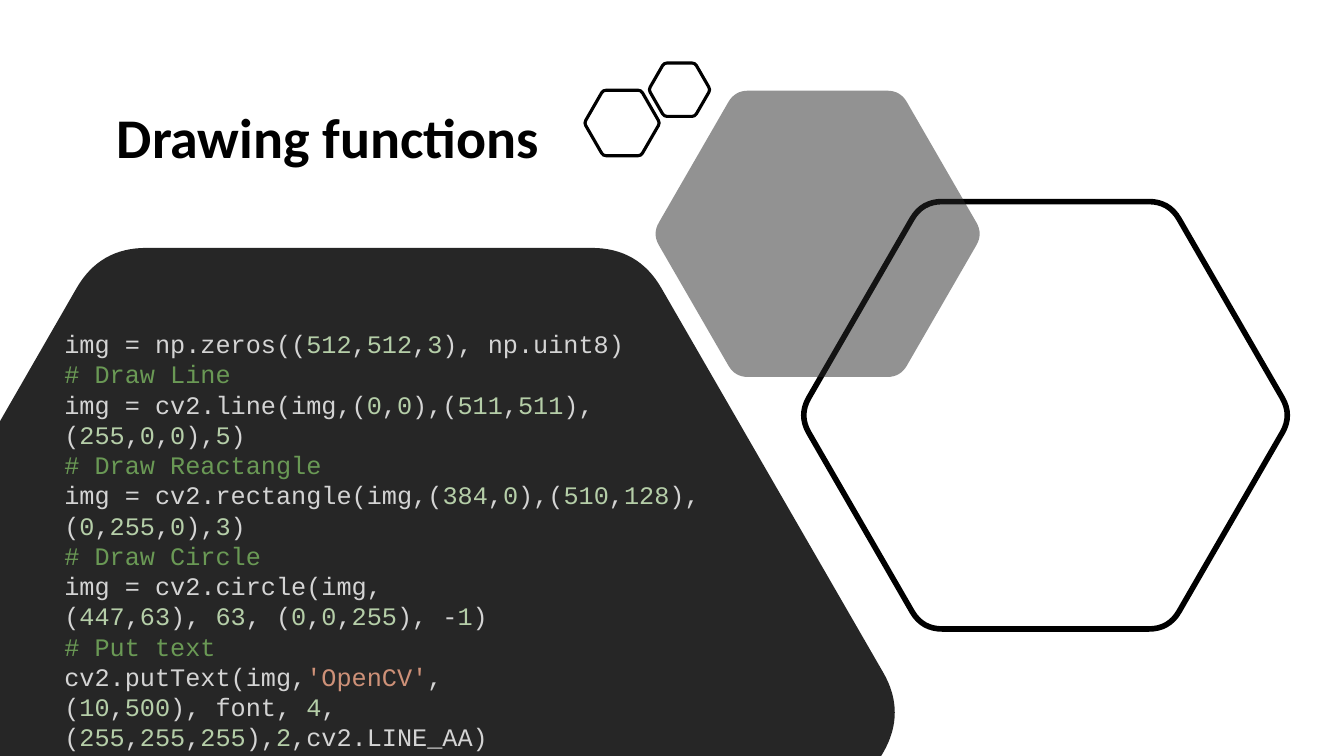
from itertools import groupby
from math import hypot, sqrt

from lxml import etree
from pptx import Presentation
from pptx import util as u
from pptx.dml.color import RGBColor
from pptx.enum import text
from pptx.oxml import ns

PX = 9144  # 100 px to the inch
THEME = {
    "title": {"font": "Calibri", "size": 40, "color": "000000"},
    "listing": {"font": "Courier New", "size": 18},
    "panel": "262626",
    "outline": "000000",
    "syntax": {"code": "D4D4D4", "number": "B5CEA8",
               "comment": "6A9955", "string": "CE9178"},
}

presentation = Presentation()
presentation.slide_width = 1333 * PX
presentation.slide_height = 750 * PX
slide = presentation.slides.add_slide(presentation.slide_layouts[6])


def add_rounded_outline(corners):
    """Draw a closed outline; each corner is (x, y, length trimmed off each side)."""
    points, bends = [], []
    for i, (x, y, trim) in enumerate(corners):
        if not trim:
            points.append((x * PX, y * PX))
            continue
        ends = []
        for nx, ny, _ in (corners[i - 1], corners[(i + 1) % len(corners)]):
            share = trim / hypot(nx - x, ny - y)
            ends.append((x + (nx - x) * share, y + (ny - y) * share))
        (ax, ay), (bx, by) = ends
        bends.append((len(points) + 1, x * PX, y * PX))
        points += [(ax * PX, ay * PX),
                   ((ax + 2 * x + bx) / 4 * PX, (ay + 2 * y + by) / 4 * PX),
                   (bx * PX, by * PX)]
    builder = slide.shapes.build_freeform(*points[0])
    builder.add_line_segments(points[1:], close=True)
    outline = builder.convert_to_shape()
    outline.shadow.inherit = False

    # Turn the two short lines at each trimmed corner into one curve
    steps = list(outline._element.find(".//" + ns.qn("a:path")))
    for index, x, y in bends:
        middle, end = steps[index:index + 2]
        curve = etree.Element(ns.qn("a:quadBezTo"))
        etree.SubElement(curve, ns.qn("a:pt"),
                         x=str(round(x - outline.left)), y=str(round(y - outline.top)))
        curve.append(end[0])
        middle.getparent().replace(middle, curve)
        end.getparent().remove(end)
    return outline


def character_kind(line, i):
    if line.startswith("#"):
        return "comment"
    if line[i] == "'" or line[:i].count("'") % 2:
        return "string"
    if line[i].isdigit() and not line[i - 1].isalpha():
        return "number"
    return "code"


# Title
title = slide.shapes.add_textbox(106 * PX, 49 * PX, 468 * PX, 180 * PX).text_frame
title.word_wrap = True
title.vertical_anchor = text.MSO_ANCHOR.MIDDLE
heading = title.paragraphs[0]
heading.text = "Drawing functions"
heading.line_spacing = 0.9
heading.space_after = u.Pt(6)
heading.font.name = THEME["title"]["font"]
heading.font.size = u.Pt(THEME["title"]["size"])
heading.font.bold = True
heading.font.color.rgb = RGBColor.from_string(THEME["title"]["color"])

# Dark code panel, cut off by the left and bottom slide edges
panel = add_rounded_outline([(0, 418, 0), (99, 246, 46), (633, 246, 46),
                             (899, 707, 46), (874, 750, 0), (0, 750, 0)])
panel.fill.solid()
panel.fill.fore_color.rgb = RGBColor.from_string(THEME["panel"])
panel.line.fill.background()

# Regular hexagons: centre x, centre y, height, corner trim, line width (None = grey fill)
for cx, cy, height, trim, line_width in [
    (1037, 412, 424, 20, 4),
    (811, 232, 284, 13, None),
    (617, 122, 65, 3, 2.25),
    (674, 89, 53, 3, 2.25),
]:
    side, half = height / sqrt(3), height / 2
    hexagon = add_rounded_outline([
        (cx + dx * side, cy + dy * half, trim)
        for dx, dy in [(-1, 0), (-0.5, -1), (0.5, -1), (1, 0), (0.5, 1), (-0.5, 1)]
    ])
    if line_width:
        hexagon.fill.background()
        hexagon.line.color.rgb = RGBColor.from_string(THEME["outline"])
        hexagon.line.width = u.Pt(line_width)
    else:
        hexagon.fill.solid()
        hexagon.fill.fore_color.rgb = RGBColor.from_string(THEME["panel"])
        hexagon.line.fill.background()
        color = hexagon._element.spPr.find(ns.qn("a:solidFill"))[0]
        etree.SubElement(color, ns.qn("a:alpha"), val="50000")

# Code listing, coloured by syntax
LISTING = """img = np.zeros((512,512,3), np.uint8)
# Draw Line
img = cv2.line(img,(0,0),(511,511),(255,0,0),5)
# Draw Reactangle
img = cv2.rectangle(img,(384,0),(510,128),(0,255,0),3)
# Draw Circle
img = cv2.circle(img,(447,63), 63, (0,0,255), -1)
# Put text
cv2.putText(img,'OpenCV',(10,500), font, 4,(255,255,255),2,cv2.LINE_AA)"""
NO_BREAK_SPACE = chr(160)

listing = slide.shapes.add_textbox(54 * PX, 321 * PX, 657 * PX, 464 * PX).text_frame
listing.word_wrap = True
for number, line in enumerate(LISTING.splitlines()):
    statement = listing.add_paragraph() if number else listing.paragraphs[0]
    statement.font.name = THEME["listing"]["font"]
    statement.font.size = u.Pt(THEME["listing"]["size"])
    for kind, indexes in groupby(range(len(line)), lambda i: character_kind(line, i)):
        token = statement.add_run()
        token.text = "".join(line[i] for i in indexes).replace(" ", NO_BREAK_SPACE)
        token.font.color.rgb = RGBColor.from_string(THEME["syntax"][kind])

presentation.save("out.pptx")
